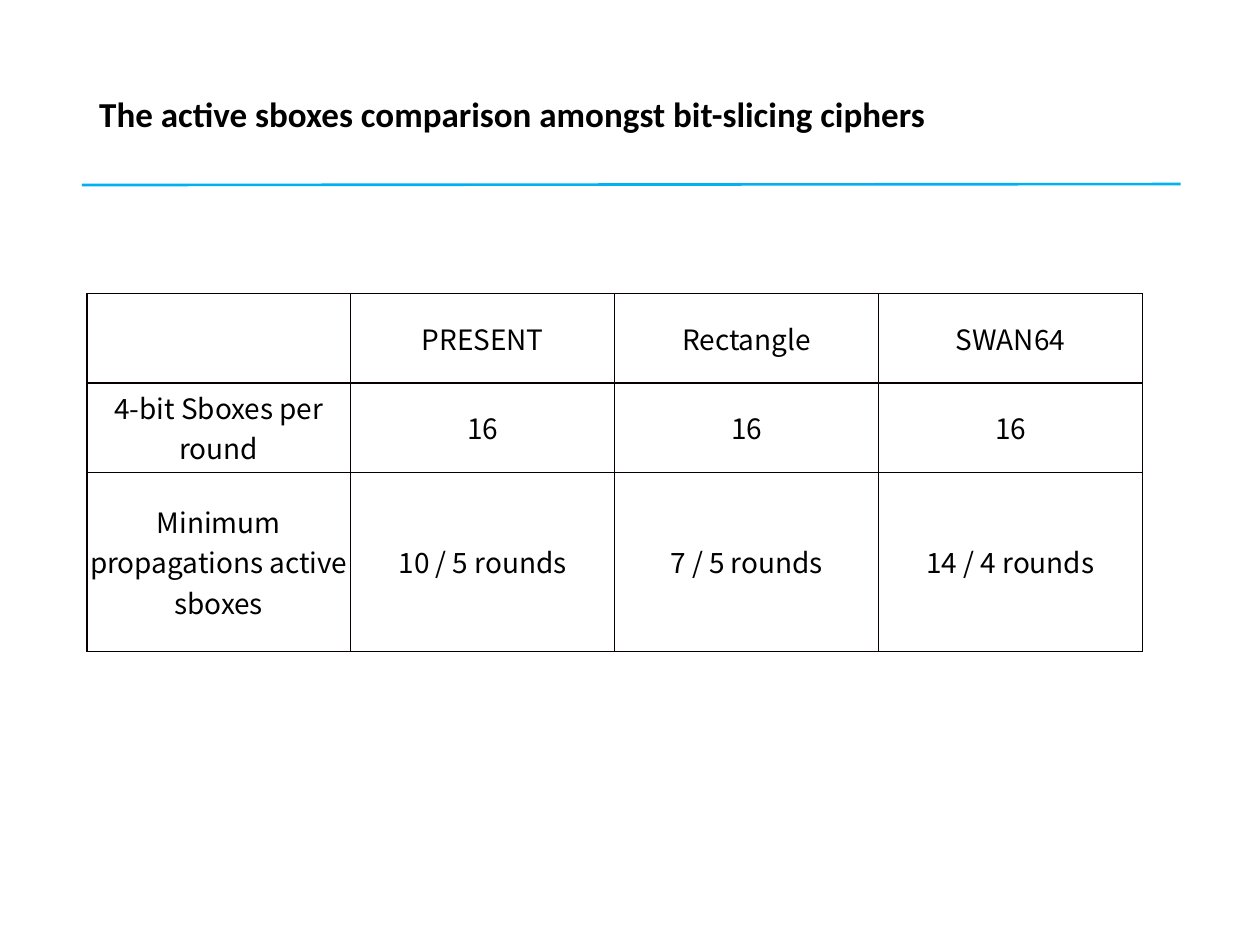
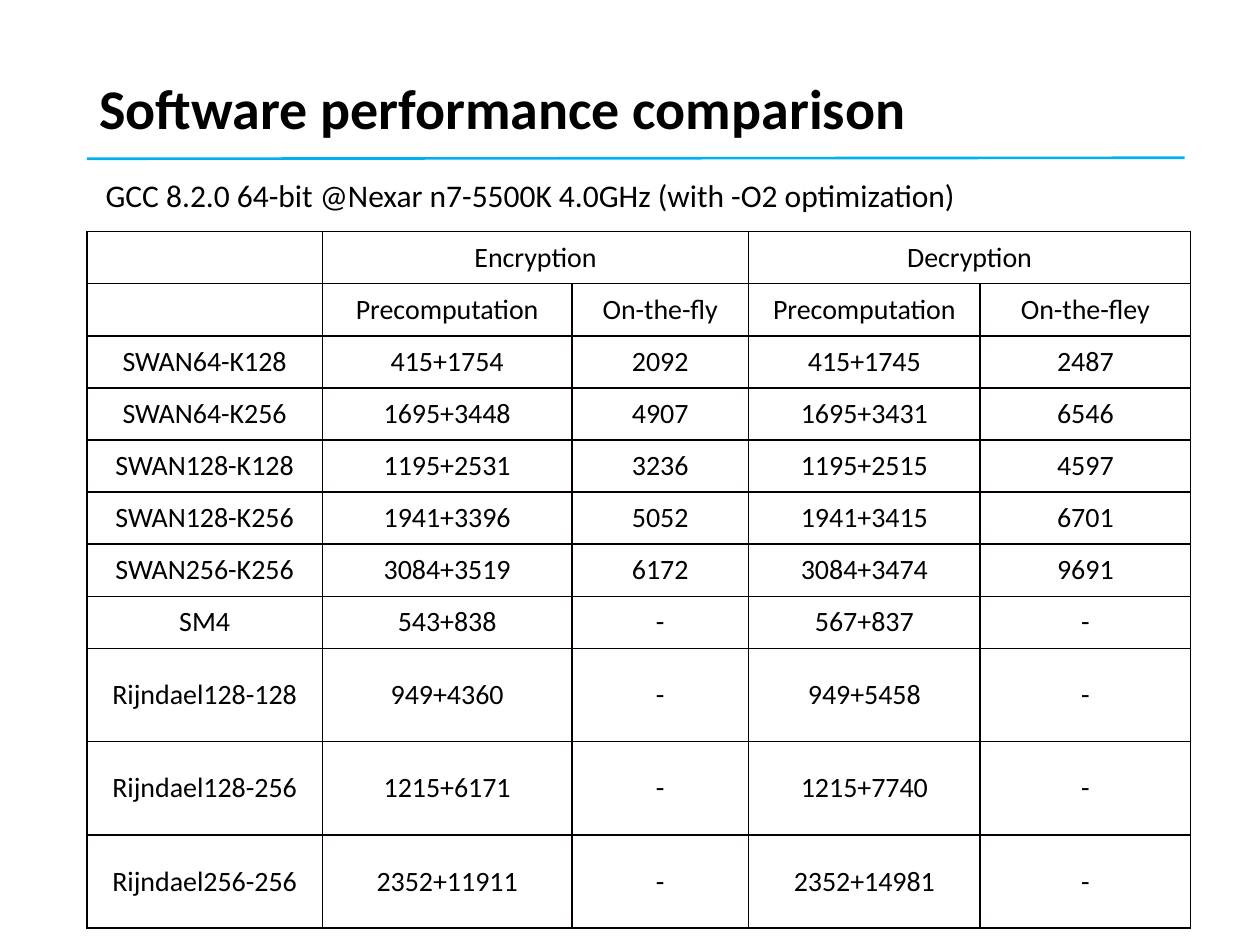
"""Build two slides that compare ciphers by active sboxes and by software speed."""
import pptx
import pptx.util
import pptx.dml.color
import pptx.enum.shapes
import pptx.enum.text
import pptx.oxml
import pptx.oxml.ns
from pptx.util import Cm

BLACK = pptx.dml.color.RGBColor(0x00, 0x00, 0x00)
BLUE = pptx.dml.color.RGBColor(0x00, 0xB0, 0xF0)
EDGE = pptx.dml.color.RGBColor(0x08, 0x00, 0x00)
LATIN = "Calibri"
HAN = "Noto Sans CJK SC"
LEFT = 1.75
MIDDLE = pptx.enum.text.MSO_ANCHOR.MIDDLE
CENTER = pptx.enum.text.PP_ALIGN.CENTER

SBOXES = [
    ("", "PRESENT", "Rectangle", "SWAN64"),
    ("4-bit Sboxes per round", "16", "16", "16"),
    ("Minimum propagations active sboxes",
     "10 / 5 rounds", "7 / 5 rounds", "14 / 4 rounds"),
]
SPEEDS = [
    ("", "Encryption", "", "Decryption", ""),
    ("", "Precomputation", "On-the-fly", "Precomputation", "On-the-fley"),
    ("SWAN64-K128", "415+1754", "2092", "415+1745", "2487"),
    ("SWAN64-K256", "1695+3448", "4907", "1695+3431", "6546"),
    ("SWAN128-K128", "1195+2531", "3236", "1195+2515", "4597"),
    ("SWAN128-K256", "1941+3396", "5052", "1941+3415", "6701"),
    ("SWAN256-K256", "3084+3519", "6172", "3084+3474", "9691"),
    ("SM4", "543+838", "-", "567+837", "-"),
    ("Rijndael128-128", "949+4360", "-", "949+5458", "-"),
    ("Rijndael128-256", "1215+6171", "-", "1215+7740", "-"),
    ("Rijndael256-256", "2352+11911", "-", "2352+14981", "-"),
]
SLIDES = [
    dict(
        title=dict(text="The active sboxes comparison amongst bit-slicing ciphers",
                   top=1.0, high=2.67, size=20),
        rule=(1.65, 3.73, 23.8, 3.71),
        grid=dict(data=SBOXES, top=5.92, cols=[5.32] * 4,
                  rows=[1.8, 1.8, 3.61], font=HAN),
    ),
    dict(
        title=dict(text="Software performance comparison",
                   top=0.41, high=3.68, size=32),
        rule=(1.75, 3.2, 23.88, 3.18),
        grid=dict(data=SPEEDS, top=4.67, cols=[4.75, 5.03, 3.56, 4.67, 4.24],
                  rows=[1.05] * 8 + [1.88] * 3, font=LATIN, pad=0.18,
                  spans=[(0, 1, 2), (0, 3, 4)]),
        note="GCC 8.2.0 64-bit @Nexar n7-5500K 4.0GHz (with -O2 optimization)",
    ),
]


def write(frame, text, font=LATIN, size=16, bold=False, align=None, space=None):
    """Put one formatted paragraph into a text frame."""
    para = frame.paragraphs[0]
    para.alignment = align
    para.line_spacing = space
    run = para.add_run()
    run.text = text
    run.font.name = font
    run.font.size = pptx.util.Pt(size)
    run.font.bold = bold
    run.font.color.rgb = BLACK


def add_title(slide, text, top, high, size):
    """Add the bold slide title."""
    frame = slide.shapes.add_textbox(Cm(LEFT), Cm(top), Cm(21.9), Cm(high)).text_frame
    frame.word_wrap = True
    frame.vertical_anchor = MIDDLE
    write(frame, text, size=size, bold=True, space=0.9)


def add_rule(slide, ends):
    """Add the blue line below the title."""
    line = slide.shapes.add_connector(
        pptx.enum.shapes.MSO_CONNECTOR.STRAIGHT, *map(Cm, ends))
    line.line.color.rgb = BLUE
    line.line.width = pptx.util.Pt(1.5)
    props = line._element.spPr
    props.append(pptx.oxml.parse_xml(
        f"<a:effectLst {pptx.oxml.ns.nsdecls('a')}/>"))


def add_edges(cell):
    """Draw a thin border on all four sides of a cell."""
    props = cell._tc.get_or_add_tcPr()
    for spot, side in enumerate("LRTB"):
        props.insert(spot, pptx.oxml.parse_xml(
            f'<a:ln{side} {pptx.oxml.ns.nsdecls("a")} w="12700"><a:solidFill>'
            f'<a:srgbClr val="{EDGE}"/></a:solidFill></a:ln{side}>'))


def add_grid(slide, data, top, cols, rows, font, pad=0, spans=()):
    """Add a bordered table with centred text."""
    table = slide.shapes.add_table(
        len(rows), len(cols), Cm(LEFT), Cm(top), Cm(sum(cols)), Cm(sum(rows))).table
    table.first_row = table.horz_banding = False
    for col, wide in zip(table.columns, cols):
        col.width = Cm(wide)
    for row, high, texts in zip(table.rows, rows, data):
        row.height = Cm(high)
        for cell, text in zip(row.cells, texts):
            cell.margin_left = cell.margin_right = Cm(pad)
            cell.margin_top = cell.margin_bottom = 0
            cell.vertical_anchor = MIDDLE
            cell.fill.background()
            add_edges(cell)
            if text:
                write(cell.text_frame, text, font=font, align=CENTER)
    for row, first, last in spans:
        table.cell(row, first).merge(table.cell(row, last))


def add_note(slide, text):
    """Add the line that names the test setup."""
    frame = slide.shapes.add_textbox(Cm(1.88), Cm(3.43), Cm(20), Cm(1.02)).text_frame
    frame.word_wrap = True
    write(frame, text, size=18)


def main():
    """Build and save the deck."""
    deck = pptx.Presentation()
    deck.slide_width, deck.slide_height = Cm(25.4), Cm(19.05)
    for page in SLIDES:
        slide = deck.slides.add_slide(deck.slide_layouts[6])
        add_title(slide, **page["title"])
        add_rule(slide, page["rule"])
        add_grid(slide, **page["grid"])
        if "note" in page:
            add_note(slide, page["note"])
    deck.save("out.pptx")


if __name__ == "__main__":
    main()
